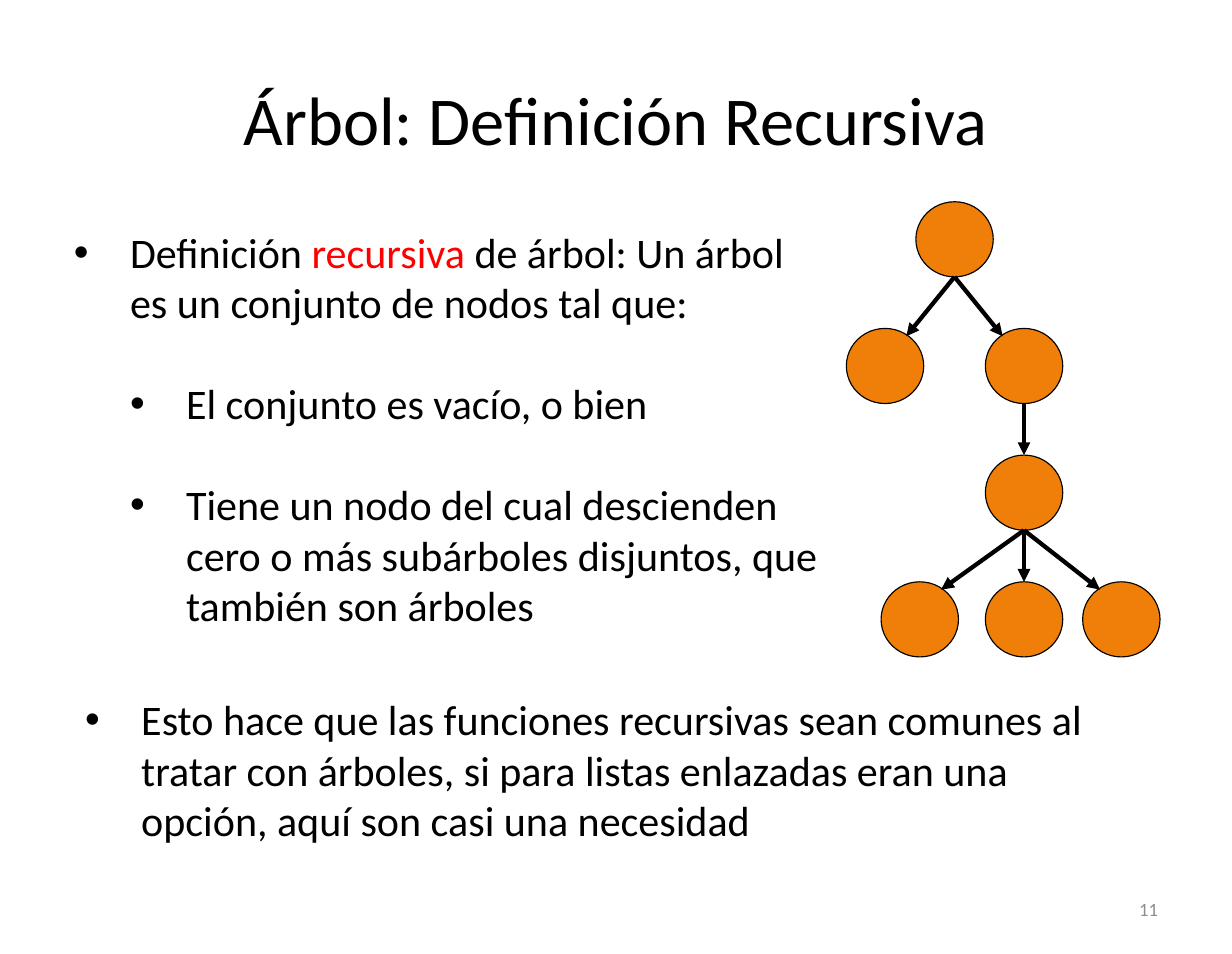
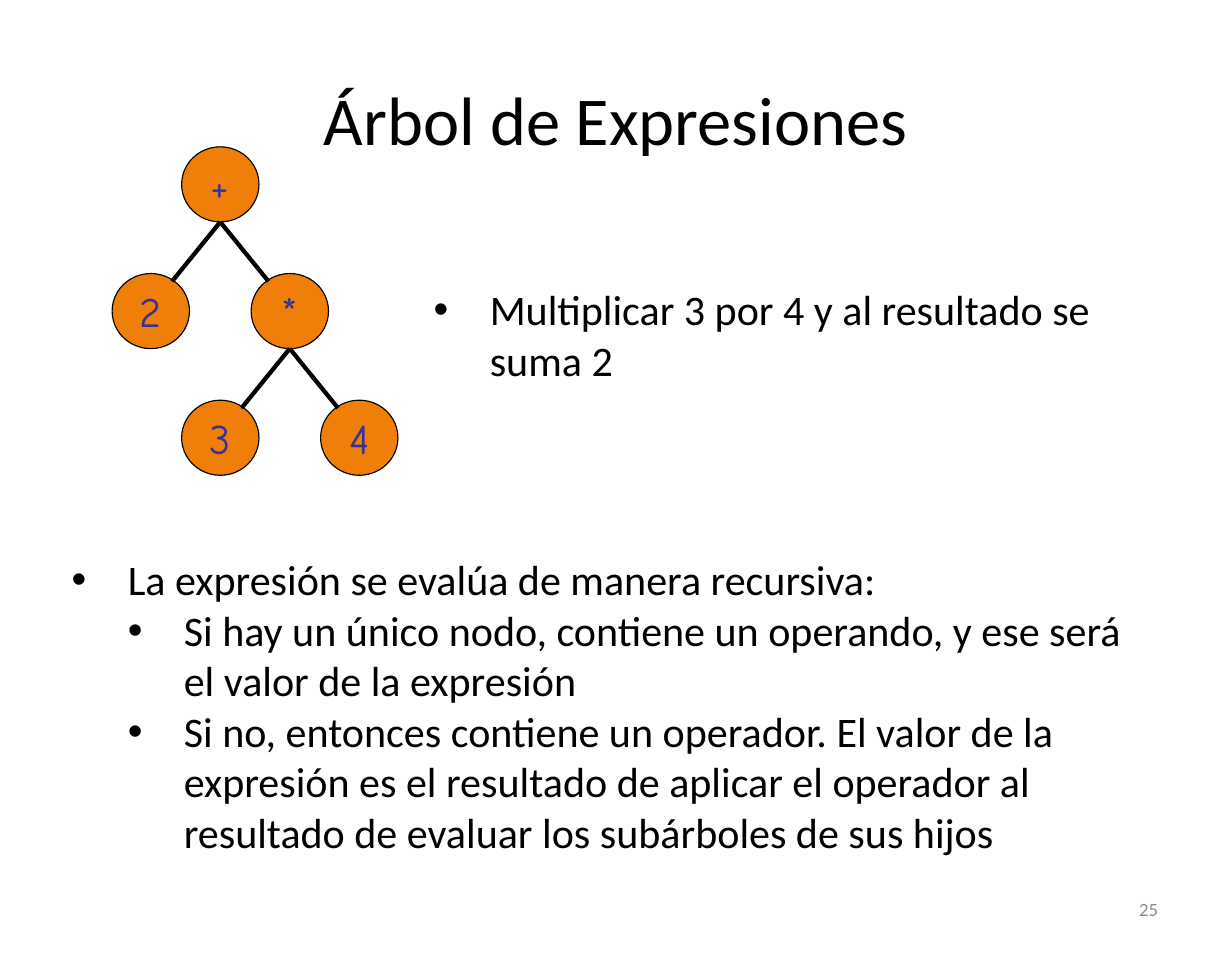
from lxml.etree import SubElement
from pptx import Presentation
from pptx.dml.color import RGBColor
from pptx.enum.shapes import MSO_CONNECTOR as Connector, MSO_SHAPE as Shape
from pptx.enum.text import MSO_ANCHOR as Anchor, MSO_AUTO_SIZE as AutoSize, PP_ALIGN as Align
from pptx.oxml.ns import qn
from pptx.util import Inches, Pt

# Shared look
BLACK, RED, GREY = "000000", "FF0000", "8C8C8C"
ORANGE, INDIGO = "F07F09", "333399"
BODY_FONT, NODE_FONT = "Calibri", "Comic Neue"
BODY_SIZE = 27
BLANK_LINE = 32.4
INDENT = Inches(0.5)
hex_colour = RGBColor.from_string

# Tree grid: one column or row step, node size, and where an edge meets a child
COLUMN, ROW = 0.62, 1.13
NODE_WIDTH, NODE_HEIGHT = 0.69, 0.67
MEET_X, MEET_Y = 0.19, 0.07


def add_run(paragraph, text, size=BODY_SIZE, colour=BLACK, font=BODY_FONT):
    run = paragraph.add_run()
    run.text = text
    run.font.name = font
    run.font.size = Pt(size)
    run.font.color.rgb = hex_colour(colour)


def write_list(shape, items, gap):
    """Fill a shape with bullets; each item is a level and its (text, colour) runs."""
    frame = shape.text_frame
    frame.word_wrap = True
    frame.auto_size = AutoSize.NONE
    frame.margin_left = frame.margin_right = Inches(0.11)
    frame.margin_top = frame.margin_bottom = Inches(0.06)
    for index, (level, runs) in enumerate(items):
        paragraph = frame.add_paragraph() if index else frame.paragraphs[0]
        paragraph.level = level
        properties = paragraph._p.get_or_add_pPr()
        properties.set("marL", str(INDENT * (level + 1)))
        properties.set("indent", str(-INDENT))
        SubElement(properties, qn("a:buFont"), typeface="Arial")
        SubElement(properties, qn("a:buChar"), char="•")
        paragraph.space_before = Pt(gap if index else 0)
        for text, colour in runs:
            add_run(paragraph, text, colour=colour)


# Content: nodes are (column, row, label), edges are (parent, child)
slides = [
    {
        "title": "Árbol: Definición Recursiva",
        "number": "11",
        "body_box": (0.55, 1.96, 6.87, 3.74),
        "body_gap": BLANK_LINE,
        "body": [
            (0, [("Definición ", BLACK), ("recursiva", RED),
                 (" de árbol: Un árbol es un conjunto de nodos tal que:", BLACK)]),
            (1, [("El conjunto es vacío, o bien", BLACK)]),
            (1, [("Tiene un nodo del cual descienden cero o más subárboles disjuntos, "
                  "que también son árboles", BLACK)]),
        ],
        "remark_box": (0.65, 6.13, 9.52, 1.47),
        "remark": "Esto hace que las funciones recursivas sean comunes al tratar con árboles, "
                  "si para listas enlazadas eran una opción, aquí son casi una necesidad",
        "tree_origin": (7.55, 1.8),
        "nodes": [(1, 0, ""), (0, 1, ""), (2, 1, ""), (2, 2, ""),
                  (0.5, 3, ""), (2, 3, ""), (3.4, 3, "")],
        "edges": [(0, 1), (0, 2), (2, 3), (3, 4), (3, 5), (3, 6)],
        "arrows": True,
    },
    {
        "title": "Árbol de Expresiones",
        "number": "25",
        "body_box": (0.53, 4.88, 9.89, 2.84),
        "body_gap": 0,
        "body": [
            (0, [("La expresión se evalúa de manera recursiva:", BLACK)]),
            (1, [("Si hay un único nodo, contiene un operando, y ese será el valor "
                  "de la expresión", BLACK)]),
            (1, [("Si no, entonces contiene un operador. El valor de la expresión es el resultado "
                  "de aplicar el operador al resultado de evaluar los subárboles de sus hijos",
                  BLACK)]),
        ],
        "remark_box": (3.76, 2.47, 6.14, 1.02),
        "remark": "Multiplicar 3 por 4 y al resultado se suma 2",
        "tree_origin": (1, 1.31),
        "nodes": [(1, 0, "+"), (0, 1, "2"), (2, 1, "*"), (1, 2, "3"), (3, 2, "4")],
        "edges": [(0, 1), (0, 2), (2, 3), (2, 4)],
        "arrows": False,
    },
]

presentation = Presentation()
presentation.slide_width, presentation.slide_height = Inches(10.99), Inches(8.51)

# The layout holds the title position for every slide
layout = presentation.slide_layouts[1]
title_holder = layout.placeholders[0]
title_holder.left, title_holder.top = Inches(0.55), Inches(0.34)
title_holder.width, title_holder.height = Inches(9.89), Inches(1.42)

for content in slides:
    slide = presentation.slides.add_slide(layout)

    # Title
    title = slide.shapes.title.text_frame
    title.vertical_anchor = Anchor.MIDDLE
    title.paragraphs[0].alignment = Align.CENTER
    add_run(title.paragraphs[0], content["title"], 44)

    # Main list and remark
    body = slide.placeholders[1]
    body.left, body.top, body.width, body.height = map(Inches, content["body_box"])
    write_list(body, content["body"], content["body_gap"])
    remark = slide.shapes.add_textbox(*map(Inches, content["remark_box"]))
    write_list(remark, [(0, [(content["remark"], BLACK)])], 0)

    # Tree nodes
    origin_x, origin_y = content["tree_origin"]
    tops = []
    for column, row, label in content["nodes"]:
        left, top = origin_x + column * COLUMN, origin_y + row * ROW
        tops.append((left + NODE_WIDTH / 2, top))
        node = slide.shapes.add_shape(
            Shape.OVAL, *map(Inches, (left, top, NODE_WIDTH, NODE_HEIGHT)))
        node.shadow.inherit = False
        node.fill.solid()
        node.fill.fore_color.rgb = hex_colour(ORANGE)
        node.line.color.rgb = hex_colour(BLACK)
        node.line.width = Pt(0.75)
        if label:
            node.text_frame.word_wrap = False
            node.text_frame.vertical_anchor = Anchor.MIDDLE
            paragraph = node.text_frame.paragraphs[0]
            paragraph.alignment = Align.CENTER
            add_run(paragraph, label, colour=INDIGO, font=NODE_FONT)

    # Tree edges: from the foot of the parent to the near side of the child
    for parent, child in content["edges"]:
        parent_x, parent_y = tops[parent]
        child_x, child_y = tops[child]
        side = (parent_x > child_x) - (parent_x < child_x)
        edge = slide.shapes.add_connector(Connector.STRAIGHT, *map(Inches, (
            parent_x, parent_y + NODE_HEIGHT,
            child_x + side * MEET_X, child_y + abs(side) * MEET_Y)))
        edge.line.color.rgb = hex_colour(BLACK)
        edge.line.width = Pt(2.75)
        if content["arrows"]:
            SubElement(edge.line._get_or_add_ln(), qn("a:tailEnd"), type="triangle")
        SubElement(edge._element.spPr, qn("a:effectLst"))

    # Slide number
    number = slide.shapes.add_textbox(*map(Inches, (7.87, 7.88, 2.56, 0.45))).text_frame
    number.word_wrap = True
    number.vertical_anchor = Anchor.MIDDLE
    number.paragraphs[0].alignment = Align.RIGHT
    add_run(number.paragraphs[0], content["number"], 12, GREY)

presentation.save("out.pptx")
